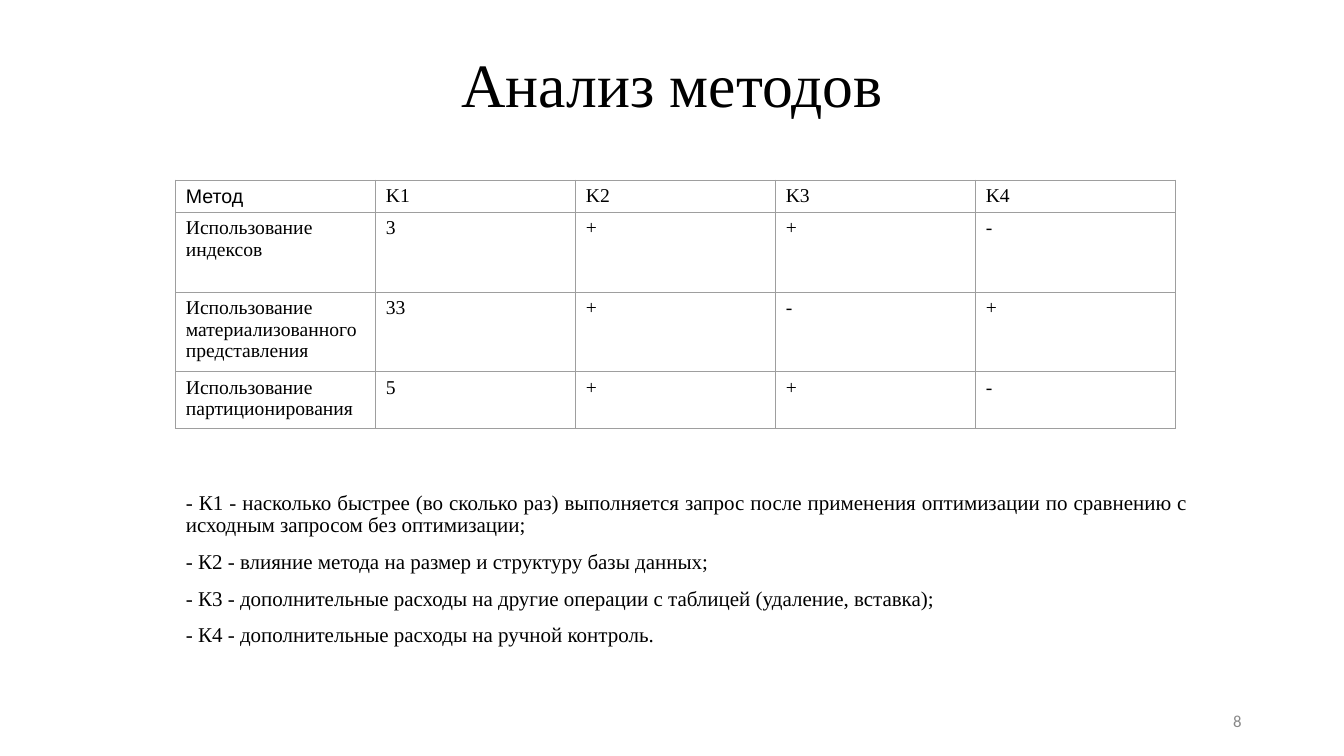
from lxml import etree
from pptx import Presentation
from pptx.dml.color import RGBColor
from pptx.enum.text import MSO_ANCHOR, MSO_AUTO_SIZE, PP_ALIGN
from pptx.oxml.ns import qn
from pptx.util import Cm, Pt

CENTER, RIGHT, JUSTIFY = PP_ALIGN.CENTER, PP_ALIGN.RIGHT, PP_ALIGN.JUSTIFY
TOP, MIDDLE = MSO_ANCHOR.TOP, MSO_ANCHOR.MIDDLE
NO_AUTOFIT = MSO_AUTO_SIZE.NONE

COLORS = {"text": "000000", "page_number": "888888", "border": "9E9E9E"}
SERIF, SANS, NUMBER_FONT = "Times New Roman", "Arial", "Calibri"

TITLE = "Анализ методов"
METHODS = [
    ["Метод", "K1", "K2", "K3", "K4"],
    ["Использование индексов", "3", "+", "+", "-"],
    ["Использование материализованного представления", "33", "+", "-", "+"],
    ["Использование партиционирования", "5", "+", "+", "-"],
]
ROW_HEIGHTS = [0.77, 2.01, 2.01, 1.44]
CRITERIA = [
    "- К1 - насколько быстрее (во сколько раз) выполняется запрос после "
    "применения оптимизации по сравнению с исходным запросом без оптимизации;",
    "- К2 - влияние метода на размер и структуру базы данных;",
    "- К3 - дополнительные расходы на другие операции с таблицей (удаление, вставка);",
    "- К4 - дополнительные расходы на ручной контроль.",
]


def place(shape, box):
    """Move a shape to a box of left, top, width and height in cm."""
    shape.left, shape.top, shape.width, shape.height = map(Cm, box)


def prepare_frame(text_frame, anchor):
    """Make a text frame wrap at a fixed size."""
    text_frame.word_wrap = True
    text_frame.auto_size = NO_AUTOFIT
    text_frame.vertical_anchor = anchor


def add_text(paragraph, text, size, font=SERIF, color="text", align=None):
    """Add one formatted run to a paragraph."""
    paragraph.alignment = align
    run = paragraph.add_run()
    run.text = text
    run.font.size = Pt(size)
    run.font.name = font
    run.font.color.rgb = RGBColor.from_string(COLORS[color])


def add_title(slide, box):
    """Fill the title placeholder."""
    title = slide.shapes.title
    place(title, box)
    prepare_frame(title.text_frame, MIDDLE)
    paragraph = title.text_frame.paragraphs[0]
    paragraph.line_spacing = 0.9
    add_text(paragraph, TITLE, 44, align=CENTER)


def set_borders(cell):
    """Draw thin lines on all four sides of a cell."""
    properties = cell._tc.get_or_add_tcPr()
    for position, side in enumerate(("lnL", "lnR", "lnT", "lnB")):
        line = etree.Element(qn(f"a:{side}"), w=str(Pt(0.75)))
        fill = etree.SubElement(line, qn("a:solidFill"))
        etree.SubElement(fill, qn("a:srgbClr"), val=COLORS["border"])
        properties.insert(position, line)


def add_methods_table(slide, box):
    """Build the comparison table with equal columns."""
    left, top, width, height = map(Cm, box)
    column_count = len(METHODS[0])
    table = slide.shapes.add_table(
        len(METHODS), column_count, left, top, width, height).table
    for column in table.columns:
        column.width = width // column_count
    for row, row_height, values in zip(table.rows, ROW_HEIGHTS, METHODS):
        row.height = Cm(row_height)
        for cell, value in zip(row.cells, values):
            cell.fill.background()
            set_borders(cell)
            font = SANS if value == METHODS[0][0] else SERIF
            add_text(cell.text_frame.paragraphs[0], value, 14, font)
    table.first_row = table.horz_banding = False


def add_criteria(slide, box):
    """Fill the body placeholder with the criteria, without bullets."""
    body = slide.placeholders[1]
    place(body, box)
    text_frame = body.text_frame
    prepare_frame(text_frame, TOP)
    for index, criterion in enumerate(CRITERIA):
        paragraph = text_frame.add_paragraph() if index else text_frame.paragraphs[0]
        paragraph.line_spacing = 0.9
        paragraph.space_before = Pt(10)
        add_text(paragraph, criterion, 15, align=JUSTIFY)
        properties = paragraph._p.get_or_add_pPr()
        properties.set("marL", "0")
        properties.set("indent", "0")
        etree.SubElement(properties, qn("a:buNone"))


def add_page_number(slide, box):
    """Write the page number at the bottom right."""
    text_frame = slide.shapes.add_textbox(*map(Cm, box)).text_frame
    prepare_frame(text_frame, MIDDLE)
    add_text(text_frame.paragraphs[0], "8", 12, NUMBER_FONT, "page_number", RIGHT)


def main():
    """Build the slide and save it."""
    presentation = Presentation()
    presentation.slide_width, presentation.slide_height = Cm(33.87), Cm(19.05)
    slide = presentation.slides.add_slide(presentation.slide_layouts[1])
    add_title(slide, (2.33, 0.36, 29.21, 3.68))
    add_page_number(slide, (23.92, 17.66, 7.62, 1.01))
    add_methods_table(slide, (4.43, 4.54, 25.2, sum(ROW_HEIGHTS)))
    add_criteria(slide, (4.43, 12.27, 25.76, 4.22))
    presentation.save("out.pptx")


main()
